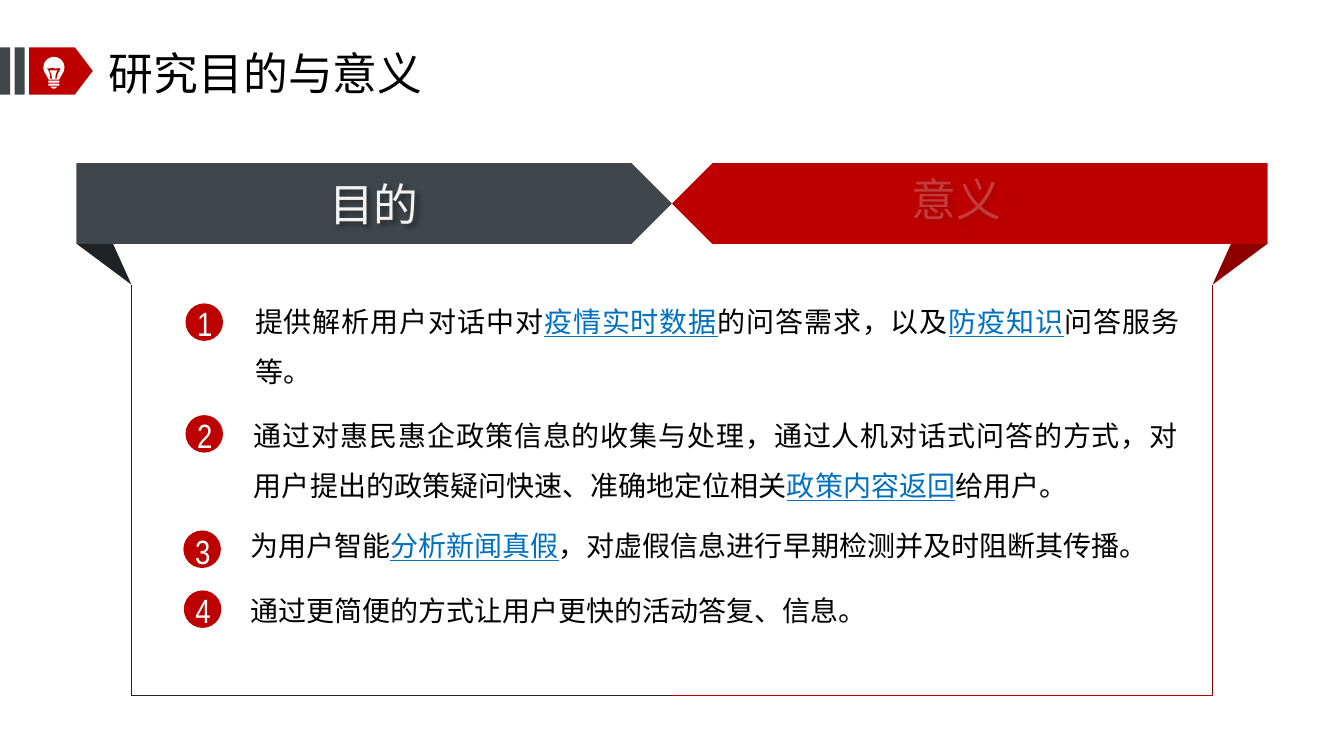
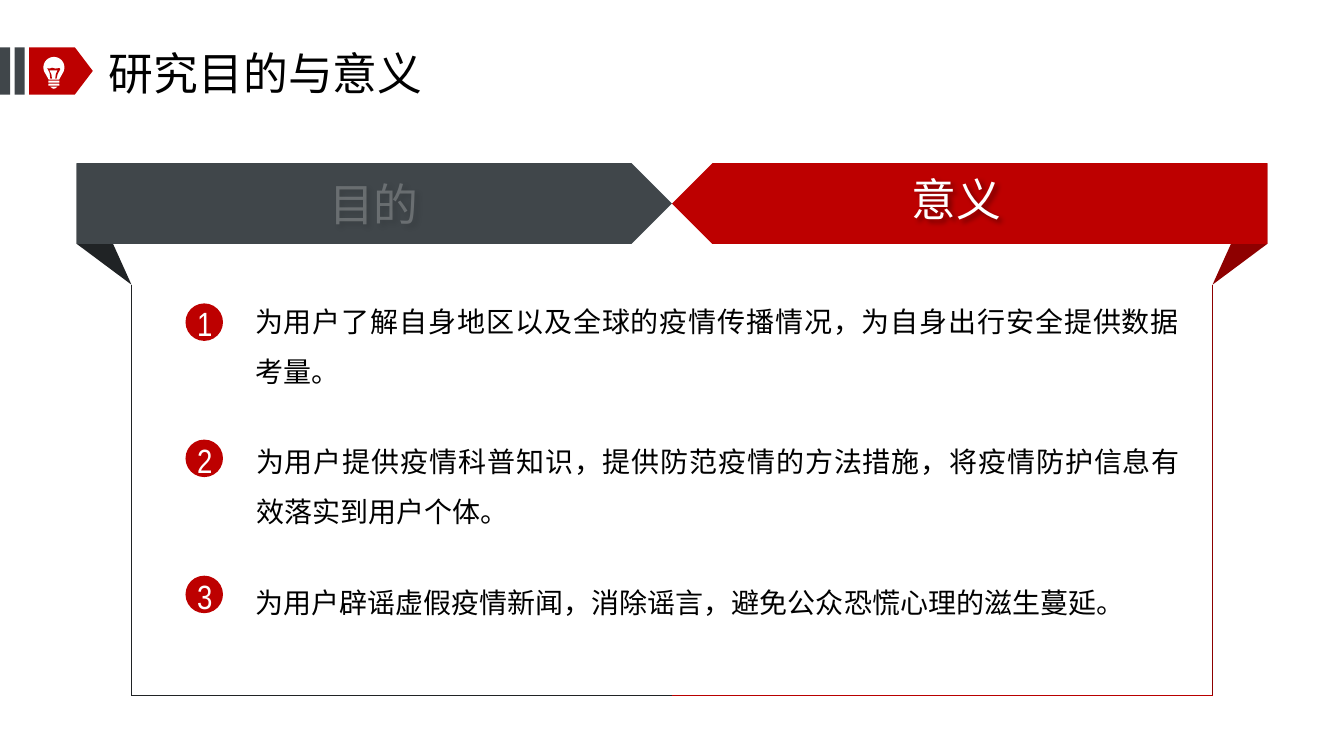
"""Build two slides on the aims and the significance of the research."""
from math import cos, radians, sin

from lxml.etree import SubElement
from pptx import Presentation
from pptx.dml.color import RGBColor
from pptx.enum.shapes import MSO_CONNECTOR as Connector, MSO_SHAPE as Shape
from pptx.enum.text import MSO_ANCHOR as Anchor, MSO_AUTO_SIZE as AutoSize, PP_ALIGN as Align
from pptx.oxml.ns import qn
from pptx.util import Pt

COLORS = {
    "red": "BD0000", "dark_red": "8E0000", "edge_red": "B90000",
    "slate": "40464A", "dark_slate": "202325",
    "white": "FFFFFF", "paper": "FDFDFD", "light": "F2F2F2", "muted": "E8EAE9",
    "black": "000000", "blue": "0070C0",
}
RGB = {name: RGBColor.from_string(value) for name, value in COLORS.items()}
CJK_FONT = "Noto Sans CJK SC"
NUMBER_FONT = "Arial Narrow"
WIDTH, HEIGHT = 960, 540
MIDDLE = WIDTH / 2
BANNER_LEFT, BANNER_TOP, BANNER_HEIGHT = 54.7, 116.6, 57.6
FRAME_LEFT, FRAME_TOP, FRAME_BOTTOM = 93.9, 203.4, 496.8
CIRCLE = 26.8

FOLD = [(BANNER_LEFT, BANNER_TOP), (FRAME_LEFT, FRAME_TOP), (BANNER_LEFT, 174.2)]
BULB = [(38.5 + 7.5 * cos(radians(angle)), 48.2 + 7.5 * sin(radians(angle)))
        for angle in range(-215, 36, 5)] + [(42.2, 56.9), (34.8, 56.9)]
FILAMENT = [(33.8, 48.7), (35.5, 52), (36, 56.2), (37.2, 56.2), (36.7, 53), (35.3, 50.4),
            (38.4, 50.2), (41.2, 50.4), (39.9, 53), (39.5, 56.2), (40.4, 56.2),
            (41.2, 53), (43.1, 49.4), (42.6, 48.6), (39.8, 49), (37.2, 48.4), (35.6, 49)]
BULB_CAP = [(36, 61.9), (41, 61.9), (39.8, 63), (38.5, 63.4), (37.2, 63)]

SLIDES = [
    {"aim": ("light", 100), "meaning": ("muted", 25), "items": [
        (132.5, 216.7, 182.2, 205.2, 72.7, 1.5,
         ["提供解析用户对话中对", "疫情实时数据", "的问答需求，以及", "防疫知识", "问答服务等。"]),
        (132.5, 296.5, 181.4, 286.6, 72.7, 1.5,
         ["通过对惠民惠企政策信息的收集与处理，通过人机对话式问答的方式，"
          "对用户提出的政策疑问快速、准确地定位相关", "政策内容返回", "给用户。"]),
        (131, 378.9, 178.6, 379.4, 22.3, Pt(22),
         ["为用户智能", "分析新闻真假", "，对虚假信息进行早期检测并及时阻断其传播。"]),
        (131.3, 421.7, 178.6, 426.2, 22.3, Pt(22),
         ["通过更简便的方式让用户更快的活动答复、信息。"]),
    ]},
    {"aim": ("muted", 25), "meaning": ("white", 100), "items": [
        (132.5, 216.7, 182.2, 205.2, 72.7, 1.5,
         ["为用户了解自身地区以及全球的疫情传播情况，为自身出行安全提供数据考量。"]),
        (132.5, 314, 182.9, 305.3, 72.7, 1.5,
         ["为用户提供疫情科普知识，提供防范疫情的方法措施，将疫情防护信息有效落实到用户个体。"]),
        (132.5, 411.2, 182.2, 406.1, 36, 1.5,
         ["为用户辟谣虚假疫情新闻，消除谣言，避免公众恐慌心理的滋生蔓延。"]),
    ]},
]


def paint(shape, color):
    """Give a shape a plain fill with no line or shadow."""
    shape.shadow.inherit = False
    shape.fill.solid()
    shape.fill.fore_color.rgb = RGB[color]
    shape.line.fill.background()


def write(slide, box, parts, size, color, align, font_name=CJK_FONT, inset=(0, 0), spacing=None):
    """Add a text box whose every second part is a blue underlined phrase."""
    shape = slide.shapes.add_textbox(*map(Pt, box))
    frame = shape.text_frame
    frame.word_wrap = True
    frame.margin_left = frame.margin_right = Pt(inset[0])
    frame.margin_top = frame.margin_bottom = Pt(inset[1])
    paragraph = frame.paragraphs[0]
    paragraph.alignment = align
    paragraph.line_spacing = spacing
    paragraph.font.size = Pt(size)
    paragraph.font.name = font_name
    paragraph.font.color.rgb = RGB[color]
    defaults = paragraph._p.pPr.find(qn("a:defRPr"))
    SubElement(defaults, qn("a:ea")).set("typeface", font_name)
    for index, part in enumerate(parts):
        run = paragraph.add_run()
        run.text = part
        if index % 2:
            run.font.color.rgb = RGB["blue"]
            run.font.underline = True
    return shape


presentation = Presentation()
presentation.slide_width, presentation.slide_height = Pt(WIDTH), Pt(HEIGHT)

for content in SLIDES:
    slide = presentation.slides.add_slide(presentation.slide_layouts[6])
    shapes = slide.shapes
    background = slide.background.fill
    background.gradient()
    background.gradient_angle = 270
    for stop, color in zip(background.gradient_stops, ("white", "paper")):
        stop.color.rgb = RGB[color]

    tag = shapes.add_shape(Shape.PENTAGON, Pt(20.9), Pt(33.8), Pt(45.4), Pt(33.8))
    tag.adjustments[0] = 0.38
    paint(tag, "red")
    for left in (0, 10.4):
        paint(shapes.add_shape(Shape.RECTANGLE, Pt(left), Pt(33.8), Pt(7.2), Pt(33.8)), "slate")

    mirrored_fold = [(WIDTH - x, y) for x, y in FOLD]
    for points, color in ((mirrored_fold, "dark_red"), (FOLD, "dark_slate"), (BULB, "white"),
                          (FILAMENT, "red"), (BULB_CAP, "white")):
        corners = [(Pt(x), Pt(y)) for x, y in points]
        builder = shapes.build_freeform(*corners[0])
        builder.add_line_segments(corners[1:])
        paint(builder.convert_to_shape(), color)
    for top in (57.6, 59.8):
        paint(shapes.add_shape(Shape.ROUNDED_RECTANGLE, Pt(34.5), Pt(top), Pt(8), Pt(1.4)), "white")

    title = write(slide, (77.8, 31.7, 396.7, 39.6), ["研究目的与意义"], 32, "black", Align.LEFT)
    title.text_frame.vertical_anchor = Anchor.MIDDLE

    for label, key, banner_left, color, turn, left, top in (
            ("目的", "aim", BANNER_LEFT, "slate", 0, 194.4, 122.4),
            ("意义", "meaning", MIDDLE, "red", 180, 610.6, 118.8)):
        banner = shapes.add_shape(Shape.PENTAGON, Pt(banner_left), Pt(BANNER_TOP),
                                  Pt(MIDDLE - BANNER_LEFT), Pt(BANNER_HEIGHT))
        banner.rotation = turn
        paint(banner, color)
        text_color, opacity = content[key]
        heading = write(slide, (left, top, 145.4, 46.1), [label], 32, text_color, Align.CENTER,
                        inset=(7.2, 3.6))
        heading.text_frame.auto_size = AutoSize.SHAPE_TO_FIT_TEXT
        if opacity < 100:
            tint = next(heading._element.iter(qn("a:srgbClr")))
            SubElement(tint, qn("a:alpha")).set("val", str(opacity * 1000))
        effects = SubElement(heading._element.spPr, qn("a:effectLst"))
        shadow = SubElement(effects, qn("a:outerShdw"), blurRad=str(Pt(4)), dist=str(Pt(3)),
                            dir="2700000", algn="tl", rotWithShape="0")
        shade = SubElement(shadow, qn("a:srgbClr"), val=COLORS["black"])
        SubElement(shade, qn("a:alpha"), val="40000")

    for number, item in enumerate(content["items"], 1):
        circle_left, circle_top, text_left, text_top, height, spacing, parts = item
        paint(shapes.add_shape(Shape.OVAL, Pt(circle_left), Pt(circle_top),
                               Pt(CIRCLE), Pt(CIRCLE)), "red")
        write(slide, (circle_left + 3, circle_top, 21.6, 28.8), [str(number)], 24, "white",
              Align.CENTER, NUMBER_FONT)
        write(slide, (text_left, text_top, 660, height), parts, 20, "black",
              Align.JUSTIFY, spacing=spacing)

    frame_right = WIDTH - FRAME_LEFT
    for x1, y1, x2, y2, color in (
            (frame_right, FRAME_TOP, frame_right, FRAME_BOTTOM, "dark_red"),
            (FRAME_LEFT, FRAME_TOP, FRAME_LEFT, FRAME_BOTTOM, "dark_slate"),
            (MIDDLE, FRAME_BOTTOM, frame_right, FRAME_BOTTOM, "edge_red"),
            (FRAME_LEFT, FRAME_BOTTOM, MIDDLE, FRAME_BOTTOM, "dark_slate")):
        edge = shapes.add_connector(Connector.STRAIGHT, Pt(x1), Pt(y1), Pt(x2), Pt(y2))
        edge.line.color.rgb = RGB[color]
        edge.line.width = Pt(0.75)
        SubElement(edge._element.spPr, qn("a:effectLst"))

presentation.save("out.pptx")
